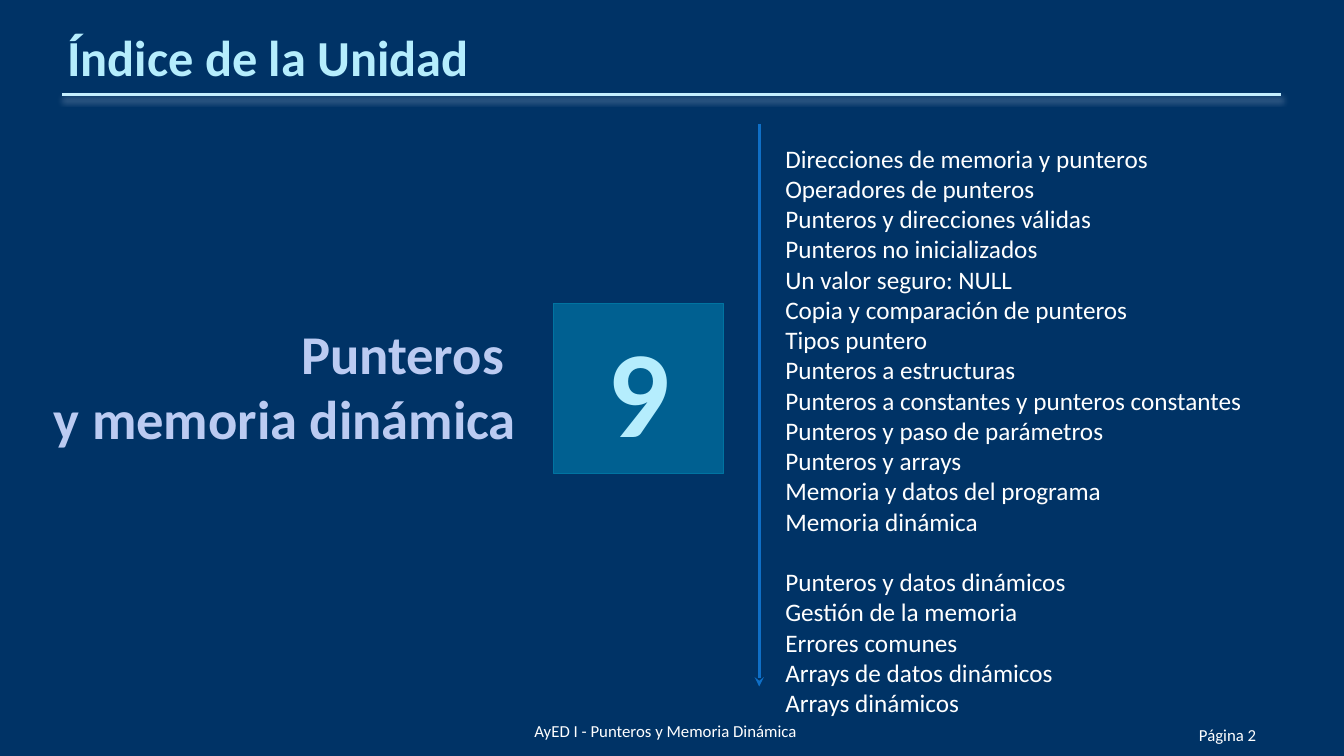
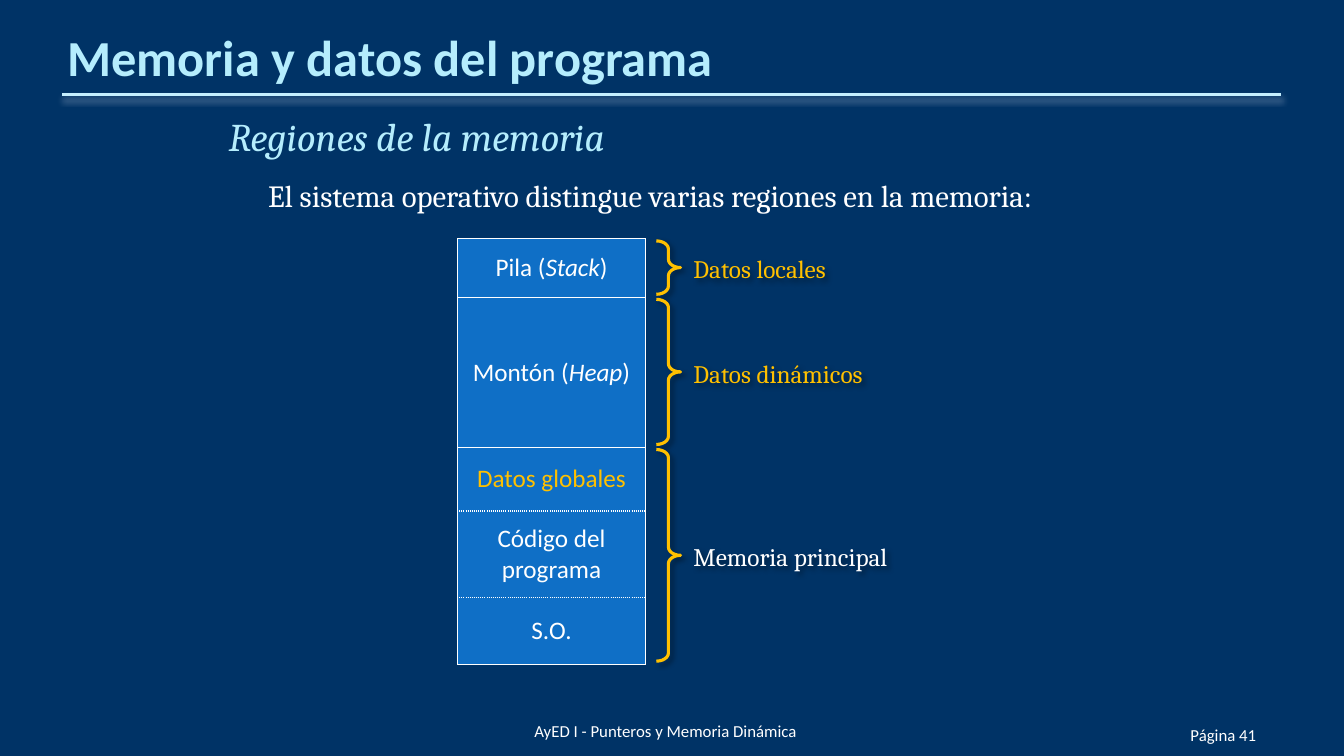
from dataclasses import dataclass

from lxml import etree
from pptx import Presentation
from pptx.dml.color import RGBColor
from pptx.enum.shapes import MSO_CONNECTOR, MSO_SHAPE
from pptx.enum.text import MSO_ANCHOR, PP_ALIGN
from pptx.oxml.ns import qn
from pptx.util import Inches, Pt

LEFT, CENTER, RIGHT = PP_ALIGN.LEFT, PP_ALIGN.CENTER, PP_ALIGN.RIGHT
TOP, MIDDLE, BOTTOM = MSO_ANCHOR.TOP, MSO_ANCHOR.MIDDLE, MSO_ANCHOR.BOTTOM
STRAIGHT = MSO_CONNECTOR.STRAIGHT
RECTANGLE, RIGHT_BRACE = MSO_SHAPE.RECTANGLE, MSO_SHAPE.RIGHT_BRACE
SLIDE_W, SLIDE_H = 13.33, 7.5


@dataclass(frozen=True)
class Theme:
    sans: str = "Calibri"
    serif: str = "Cambria"
    background: str = "003366"
    white: str = "FFFFFF"
    title: str = "B5EDFD"
    unit: str = "BBCBF2"
    rule: str = "C4EFFF"
    rule_glow: str = "92A5C2"
    badge: str = "006091"
    badge_edge: str = "0074A1"
    blue: str = "0F6FC6"
    gold: str = "FFC000"
    black: str = "000000"
    footer_pt: int = 12
    body_pt: int = 18
    lead_pt: int = 22
    heading_pt: int = 28
    title_pt: int = 36
    unit_pt: int = 39
    badge_pt: int = 88
    line_pt: float = 2.25


@dataclass(frozen=True)
class Box:
    x: float
    y: float
    w: float
    h: float

    def inches(self):
        return [Inches(v) for v in (self.x, self.y, self.w, self.h)]


THEME = Theme()


def rgb(color):
    return RGBColor.from_string(color)


def child(parent, tag, **attributes):
    return etree.SubElement(parent, qn(tag), {k: str(v) for k, v in attributes.items()})


# Shared drawing helpers
def set_shadow(shape, color=None, alpha=0, blur=0, distance=0, angle=0):
    effects = child(shape._element.spPr, "a:effectLst")
    if color:
        outer = child(effects, "a:outerShdw", blurRad=Pt(blur), dist=Pt(distance),
                      dir=angle * 60000, algn="tl", rotWithShape=0)
        child(child(outer, "a:srgbClr", val=color), "a:alpha", val=alpha * 1000)


def add_run(paragraph, text, size, color, face=THEME.sans, bold=False, italic=False):
    run = paragraph.add_run()
    run.text = text
    font = run.font
    font.name, font.size, font.bold, font.italic = face, Pt(size), bold, italic
    font.color.rgb = rgb(color)


def add_text_box(slide, box, anchor=TOP, align=LEFT, insets=(0.1, 0.05, 0.1, 0.05)):
    shape = slide.shapes.add_textbox(*box.inches())
    frame = shape.text_frame
    frame.word_wrap = True
    frame.vertical_anchor = anchor
    frame.margin_left, frame.margin_top, frame.margin_right, frame.margin_bottom = map(Inches, insets)
    frame.paragraphs[0].alignment = align
    return shape


def add_line(slide, x1, y1, x2, y2, color):
    line = slide.shapes.add_connector(STRAIGHT, *map(Inches, (x1, y1, x2, y2)))
    line.line.color.rgb = rgb(color)
    line.line.width = Pt(THEME.line_pt)
    return line


# Background, title, rule and footers of every slide
def add_frame(deck, title, page):
    slide = deck.slides.add_slide(deck.slide_layouts[6])
    fill = slide.background.fill
    fill.solid()
    fill.fore_color.rgb = rgb(THEME.background)

    rule = add_line(slide, 0.62, 0.94, 12.71, 0.94, THEME.rule)
    set_shadow(rule, THEME.rule_glow, 48, 4.5, 3, 90)

    heading = add_text_box(slide, Box(0.67, 0.31, 12, 0.55), BOTTOM, insets=(0, 0.05, 0, 0))
    add_run(heading.text_frame.paragraphs[0], title, THEME.title_pt, THEME.title, bold=True)

    footers = [
        (Box(5.3, 6.95, 4.79, 0.4), LEFT, "AyED I - Punteros y Memoria Dinámica"),
        (Box(11.15, 6.99, 1.31, 0.4), RIGHT, f"Página {page}"),
    ]
    for box, align, text in footers:
        footer = add_text_box(slide, box, BOTTOM, align, (0, 0, 0, 0))
        add_run(footer.text_frame.paragraphs[0], text, THEME.footer_pt, THEME.white)
    return slide


# Unit name beside its number
def add_unit(slide, box, name_lines, number):
    side = box.h
    badge_box = Box(box.x + box.w - side, box.y, side, side)
    name_box = Box(box.x, box.y, box.w - side - 0.37, side - 0.12)
    name = add_text_box(slide, name_box, MIDDLE, RIGHT, (0, 0.05, 0, 0))
    paragraph = name.text_frame.paragraphs[0]
    for i, text in enumerate(name_lines):
        if i:
            paragraph.add_line_break()
        add_run(paragraph, text, THEME.unit_pt, THEME.unit, bold=True)

    badge = slide.shapes.add_shape(RECTANGLE, *badge_box.inches())
    set_shadow(badge)
    badge.fill.solid()
    badge.fill.fore_color.rgb = rgb(THEME.badge)
    badge.line.color.rgb = rgb(THEME.badge_edge)
    badge.line.width = Pt(0.75)
    badge.text_frame.vertical_anchor = MIDDLE
    digit = badge.text_frame.paragraphs[0]
    digit.alignment = CENTER
    add_run(digit, number, THEME.badge_pt, THEME.title, bold=True)


# Topics in blocks, with an arrow down their left side
def add_topics(slide, box, blocks):
    arrow_x = box.x - 0.16
    arrow = add_line(slide, arrow_x, box.y - 0.14, arrow_x, box.y + box.h - 0.3, THEME.blue)
    child(arrow.line._get_or_add_ln(), "a:tailEnd", type="stealth")
    set_shadow(arrow)

    frame = add_text_box(slide, box).text_frame
    for b, block in enumerate(blocks):
        for t, topic in enumerate(block):
            paragraph = frame.add_paragraph() if b or t else frame.paragraphs[0]
            if b and not t:
                paragraph.space_before = Pt(THEME.body_pt * 1.2)
            add_run(paragraph, topic, THEME.body_pt, THEME.white)


# Heading and lead sentence
def add_lead(slide, box, heading, sentence):
    frame = add_text_box(slide, box).text_frame
    first = frame.paragraphs[0]
    first.space_after = Pt(12)
    add_run(first, heading, THEME.heading_pt, THEME.title, THEME.serif, italic=True)
    second = frame.add_paragraph()
    second._p.get_or_add_pPr().set("marL", str(Inches(0.39)))
    add_run(second, sentence, THEME.lead_pt, THEME.white, THEME.serif)


def set_borders(cell, dotted_sides):
    properties = cell._tc.get_or_add_tcPr()
    for i, side in enumerate("LRTB"):
        border = child(properties, f"a:ln{side}", w=Pt(1))
        child(child(border, "a:solidFill"), "a:srgbClr", val=THEME.white)
        child(border, "a:prstDash", val="sysDot" if side in dotted_sides else "solid")
        properties.insert(i, border)


# Memory map: one column of regions, each group braced and labelled
def add_memory_map(slide, box, groups):
    regions = [(*region, i > 0, i < len(group) - 1)
               for _, _, group in groups for i, region in enumerate(group)]
    table = slide.shapes.add_table(len(regions), 1, *box.inches()).table
    table.first_row = table.horz_banding = False
    for row, (height, color, runs, joins_above, joins_below) in enumerate(regions):
        table.rows[row].height = Inches(height)
        cell = table.cell(row, 0)
        cell.fill.solid()
        cell.fill.fore_color.rgb = rgb(THEME.blue)
        cell.vertical_anchor = MIDDLE
        paragraph = cell.text_frame.paragraphs[0]
        paragraph.alignment = CENTER
        for i, text in enumerate(runs):
            add_run(paragraph, text, THEME.body_pt, color, italic=i % 2 == 1)
        set_borders(cell, "T" * joins_above + "B" * joins_below)

    top = box.y
    for label, color, group in groups:
        height = sum(region[0] for region in group)
        brace_box = Box(box.x + box.w + 0.11, top + 0.02, 0.24, height - 0.05)
        add_brace(slide, brace_box, label, color)
        top += height


def add_brace(slide, box, label, color):
    brace = slide.shapes.add_shape(RIGHT_BRACE, *box.inches())
    brace.adjustments[0] = 0.34
    brace.fill.background()
    brace.line.color.rgb = rgb(THEME.gold)
    brace.line.width = Pt(THEME.line_pt)
    label_box = Box(box.x + box.w + 0.03, box.y + box.h / 2 - 0.19, 2.2, 0.4)
    caption = add_text_box(slide, label_box, MIDDLE)
    add_run(caption.text_frame.paragraphs[0], label, THEME.body_pt, color, THEME.serif)
    for part in (brace, caption):
        set_shadow(part, THEME.black, 40, 4, 3, 45)


TOPICS = [
    ["Direcciones de memoria y punteros", "Operadores de punteros",
     "Punteros y direcciones válidas", "Punteros no inicializados",
     "Un valor seguro: NULL", "Copia y comparación de punteros", "Tipos puntero",
     "Punteros a estructuras", "Punteros a constantes y punteros constantes",
     "Punteros y paso de parámetros", "Punteros y arrays",
     "Memoria y datos del programa", "Memoria dinámica"],
    ["Punteros y datos dinámicos", "Gestión de la memoria", "Errores comunes",
     "Arrays de datos dinámicos", "Arrays dinámicos"],
]

# Label, label colour, regions as (height, text colour, runs alternating upright and italic)
MEMORY = [
    ("Datos locales", THEME.gold, [(0.58, THEME.white, ["Pila (", "Stack", ")"])]),
    ("Datos dinámicos", THEME.gold, [(1.49, THEME.white, ["Montón (", "Heap", ")"])]),
    ("Memoria principal", THEME.white, [
        (0.63, THEME.gold, ["Datos globales"]),
        (0.86, THEME.white, ["Código del programa"]),
        (0.66, THEME.white, ["S.O."]),
    ]),
]


def build_index(deck):
    slide = add_frame(deck, "Índice de la Unidad", 2)
    add_unit(slide, Box(0.2, 3.01, 6.98, 1.69), ["Punteros ", "y memoria dinámica"], "9")
    add_topics(slide, Box(7.69, 1.37, 5.32, 5.74), TOPICS)


def build_memory(deck):
    slide = add_frame(deck, "Memoria y datos del programa", 41)
    add_lead(slide, Box(2.17, 1.07, 9, 1.2), "Regiones de la memoria",
             "El sistema operativo distingue varias regiones en la memoria:")
    add_memory_map(slide, Box(4.54, 2.37, 1.86, 4.22), MEMORY)


deck = Presentation()
deck.slide_width, deck.slide_height = Inches(SLIDE_W), Inches(SLIDE_H)
build_index(deck)
build_memory(deck)
deck.save("out.pptx")
